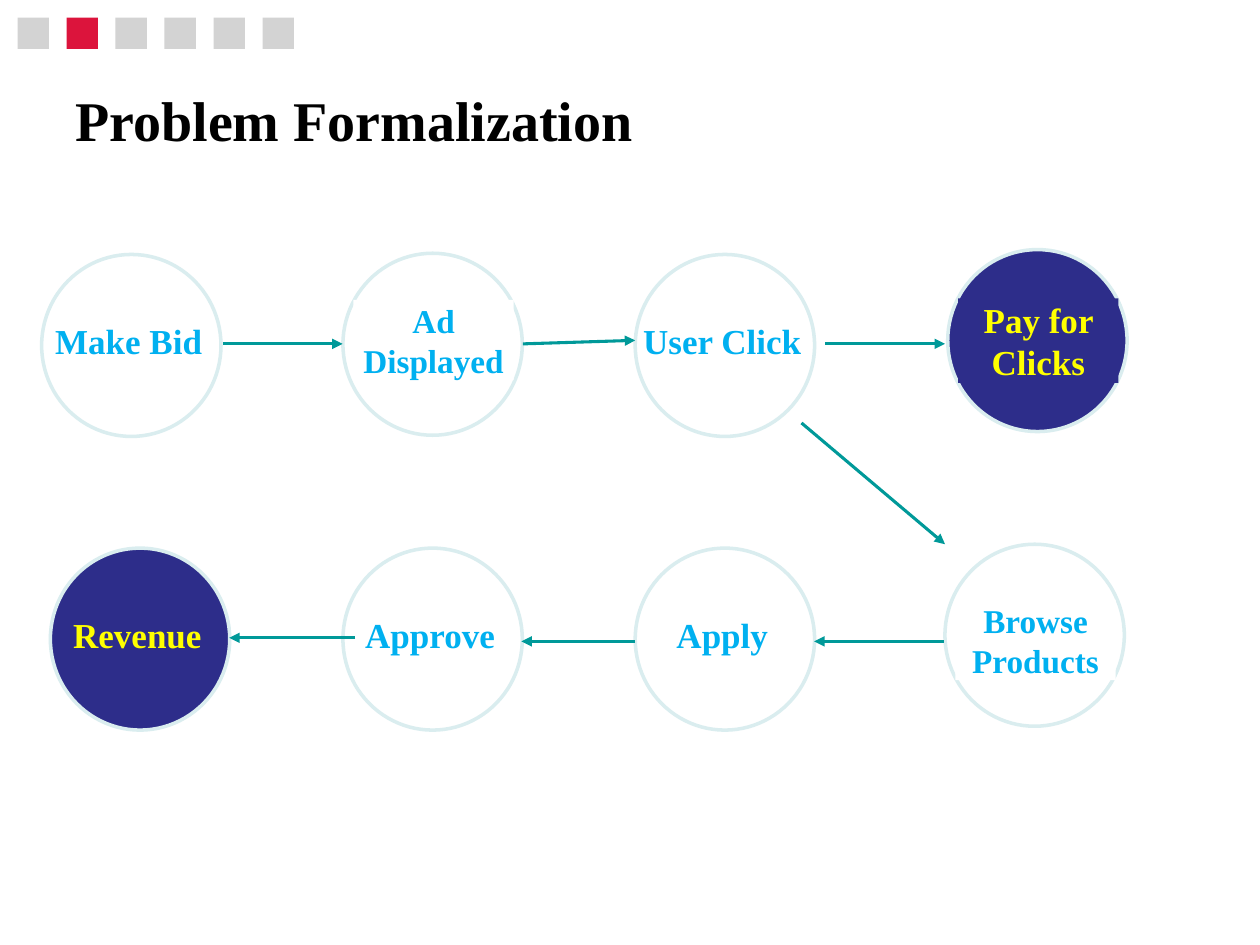
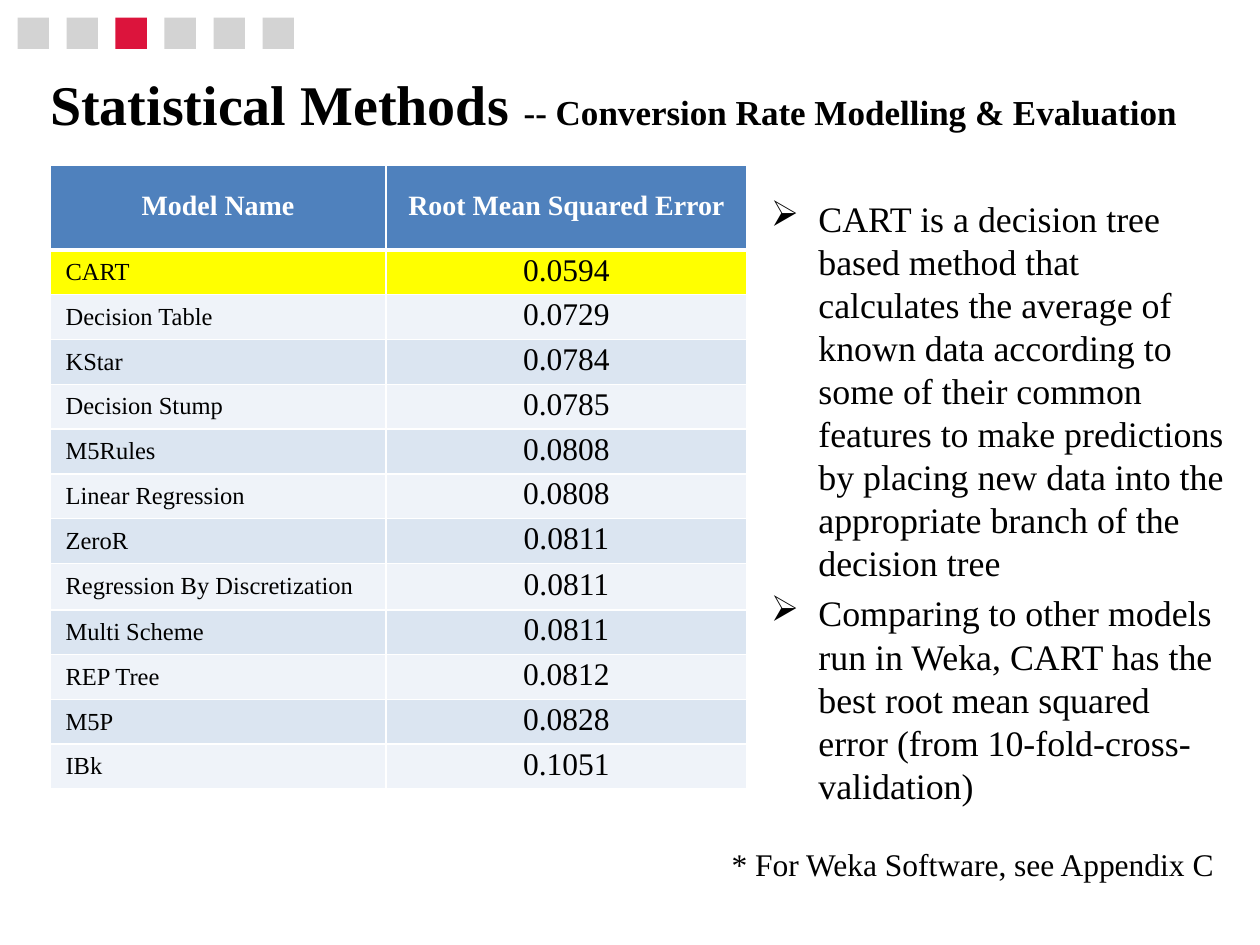
import pptx
import pptx.util
import pptx.dml.color
import pptx.enum.shapes
import pptx.enum.text
import pptx.oxml.ns
from lxml import etree

Pt = pptx.util.Pt
SHAPES = pptx.enum.shapes.MSO_SHAPE
ALIGN = pptx.enum.text.PP_ALIGN
ANCHOR = pptx.enum.text.MSO_ANCHOR

FONT = "Times New Roman"
BLACK, WHITE, YELLOW = "000000", "FFFFFF", "FFFF00"
STEP, CURRENT_STEP = "D3D3D3", "DC143C"
RING, SKY, NAVY, TEAL = "DAEDEF", "00B0F0", "2D2D8A", "009999"
HEADER, BAND_DARK, BAND_LIGHT = "4F81BD", "DBE5F1", "EFF3F9"
TITLE_SIZE = 32
CIRCLE_WIDTH, CIRCLE_HEIGHT = 102.5, 104

# label, circle left, circle top, label offset, label height, text size, highlighted
STAGES = [
    ("Make Bid", 23.8, 145.4, 36.7, 24.5, 20, False),
    ("Ad Displayed", 196, 144.7, 26.6, 46, 19, False),
    ("User Click", 363, 145.4, 36.7, 24.5, 20, False),
    ("Pay for Clicks", 541.6, 142.6, 28, 48.2, 20, True),
    ("Browse Products", 540, 311, 31.7, 46, 19, False),
    ("Apply", 363, 313.2, 37.4, 24.5, 20, False),
    ("Approve", 196, 313.2, 37.4, 24.5, 20, False),
    ("Revenue", 28.8, 313.2, 37.4, 24.5, 20, True),
]
FLOWS = [
    (127.4, 196.5, 195.8, 196.5),
    (298.8, 196.5, 363, 194.5),
    (471.6, 196.5, 540, 196.5),
    (458, 241.7, 540, 311),
    (539.2, 366.5, 465.2, 366.5),
    (363, 366.5, 298, 366.5),
    (203, 364.5, 131, 364.5),
]
MODEL_ERRORS = [
    ("CART", "0.0594"),
    ("Decision Table", "0.0729"),
    ("KStar", "0.0784"),
    ("Decision Stump", "0.0785"),
    ("M5Rules", "0.0808"),
    ("Linear Regression", "0.0808"),
    ("ZeroR", "0.0811"),
    ("Regression By Discretization", "0.0811"),
    ("Multi Scheme", "0.0811"),
    ("REP Tree", "0.0812"),
    ("M5P", "0.0828"),
    ("IBk", "0.1051"),
]
FINDINGS = [
    "CART is a decision tree based method that calculates the average of known data "
    "according to some of their common features to make predictions by placing new "
    "data into the appropriate branch of the decision tree",
    "Comparing to other models run in Weka, CART has the best root mean squared error "
    "(from 10-fold-cross-validation)",
]


def rgb(color):
    return pptx.dml.color.RGBColor.from_string(color)


def add_xml(parent, tag, **attributes):
    return etree.SubElement(parent, pptx.oxml.ns.qn(tag), **attributes)


def add_run(paragraph, text, size, color=BLACK, bold=False):
    run = paragraph.add_run()
    run.text = text
    run.font.name = FONT
    run.font.size = Pt(size)
    run.font.bold = bold
    run.font.color.rgb = rgb(color)


def add_filled(shapes, preset, left, top, width, height, fill, outline=None):
    shape = shapes.add_shape(preset, Pt(left), Pt(top), Pt(width), Pt(height))
    shape.shadow.inherit = False
    shape.fill.solid()
    shape.fill.fore_color.rgb = rgb(fill)
    if outline:
        shape.line.color.rgb = rgb(outline)
        shape.line.width = Pt(2)
    else:
        shape.line.fill.background()
    return shape


def add_text_frame(slide, left, top, width, height, wrap=True):
    box = slide.shapes.add_textbox(Pt(left), Pt(top), Pt(width), Pt(height))
    box.text_frame.word_wrap = wrap
    return box.text_frame


def add_progress(slide, current):
    """Draw the six step squares, with the current one in red."""
    for step in range(6):
        add_filled(slide.shapes, SHAPES.RECTANGLE, 10 + 28 * step, 10, 18, 18,
                   CURRENT_STEP if step == current else STEP)


def add_title(slide, left, top, width, height, line_spacing, runs):
    frame = add_text_frame(slide, left, top, width, height)
    frame.vertical_anchor = ANCHOR.MIDDLE
    title = frame.paragraphs[0]
    title.line_spacing = line_spacing
    for text, size in runs:
        add_run(title, text, size, bold=True)


def add_stage(slide, label, left, top, label_offset, label_height, size, highlighted):
    """Draw one circle of the flow, with its label plate grouped on top."""
    fill, ink = (NAVY, YELLOW) if highlighted else (WHITE, SKY)
    stage = slide.shapes.add_group_shape().shapes
    add_filled(stage, SHAPES.OVAL, left, top, CIRCLE_WIDTH, CIRCLE_HEIGHT, fill, RING)
    inset = 4 if label_height < 30 else 6
    plate = add_filled(stage, SHAPES.RECTANGLE, left + inset, top + label_offset,
                       91.5, label_height, fill)
    frame = plate.text_frame
    frame.word_wrap = True
    frame.margin_left = frame.margin_right = frame.margin_top = frame.margin_bottom = 0
    frame.vertical_anchor = ANCHOR.MIDDLE
    frame.paragraphs[0].alignment = ALIGN.CENTER
    add_run(frame.paragraphs[0], label, size, ink, bold=True)


def add_arrow(slide, *ends):
    arrow = slide.shapes.add_connector(pptx.enum.shapes.MSO_CONNECTOR.STRAIGHT,
                                       *(Pt(end) for end in ends))
    arrow.line.color.rgb = rgb(TEAL)
    arrow.line.width = Pt(1.75)
    add_xml(arrow.line._get_or_add_ln(), "a:tailEnd", type="triangle")
    add_xml(arrow._element.spPr, "a:effectLst")


def set_borders(cell, top=1, bottom=1):
    properties = cell._tc.get_or_add_tcPr()
    widths = {"a:lnL": 1, "a:lnR": 1, "a:lnT": top, "a:lnB": bottom}
    for position, (side, width) in enumerate(widths.items()):
        border = etree.Element(pptx.oxml.ns.qn(side), w=str(Pt(width)))
        add_xml(add_xml(border, "a:solidFill"), "a:srgbClr", val=WHITE)
        properties.insert(position, border)


def fill_cell(cell, text, size, fill, color=BLACK, bold=False, centred=True):
    cell.fill.solid()
    cell.fill.fore_color.rgb = rgb(fill)
    cell.vertical_anchor = ANCHOR.MIDDLE
    margins = (0.7, 0.7, 0.7) if centred else (9, 2.9, 5)
    cell.margin_left, cell.margin_top, cell.margin_right = map(Pt, margins)
    cell.margin_bottom = Pt(2.9)
    paragraph = cell.text_frame.paragraphs[0]
    paragraph.alignment = ALIGN.CENTER if centred else ALIGN.LEFT
    add_run(paragraph, text, size, color, bold)


def add_error_table(slide, left, top):
    widths = (192.2, 206)
    heights = [48.2] + [26.5 if len(model) > 20 else 25.6 for model, _ in MODEL_ERRORS]
    table = slide.shapes.add_table(len(heights), len(widths), Pt(left), Pt(top),
                                   Pt(sum(widths)), Pt(sum(heights))).table
    for column, width in zip(table.columns, widths):
        column.width = Pt(width)
    for row, height in zip(table.rows, heights):
        row.height = Pt(height)

    for column, heading in enumerate(("Model Name", "Root Mean Squared Error")):
        cell = table.cell(0, column)
        fill_cell(cell, heading, 16, HEADER, WHITE, bold=True)
        set_borders(cell, bottom=3)
    for row, (model, error) in enumerate(MODEL_ERRORS, start=1):
        best = row == 1
        fill = YELLOW if best else (BAND_DARK if row % 2 else BAND_LIGHT)
        fill_cell(table.cell(row, 0), model, 14, fill, centred=False)
        fill_cell(table.cell(row, 1), error, 18, fill)
        for column in range(2):
            set_borders(table.cell(row, column), top=3 if best else 1)


def add_findings(slide, left, top, width, height):
    frame = add_text_frame(slide, left, top, width, height)
    for number, finding in enumerate(FINDINGS):
        paragraph = frame.add_paragraph() if number else frame.paragraphs[0]
        paragraph.space_before = Pt(4.1)
        paragraph.line_spacing = Pt(24.6)
        properties = paragraph._p.get_or_add_pPr()
        properties.set("marL", str(Pt(27.2)))
        properties.set("indent", str(-Pt(27.2)))
        add_xml(properties, "a:buChar", char="➢")
        add_run(paragraph, finding, 20.5)


def build_formalization(slide):
    add_title(slide, 36, 40.3, 648, 52, 1.1, [("Problem Formalization", TITLE_SIZE)])
    add_progress(slide, 1)
    for stage in STAGES:
        add_stage(slide, *stage)
    for flow in FLOWS:
        add_arrow(slide, *flow)


def build_methods(slide):
    add_findings(slide, 433.4, 108.7, 274, 428)
    add_progress(slide, 2)
    add_title(slide, 21.6, 43.2, 695.5, 38.2, 0.8,
              [("Statistical Methods ", TITLE_SIZE),
               ("-- Conversion Rate Modelling & Evaluation", 20)])
    add_error_table(slide, 28.5, 94.6)
    footnote = add_text_frame(slide, 411, 479.5, 293, 29, wrap=False)
    add_run(footnote.paragraphs[0], "* For Weka Software, see Appendix C", 18)


def main():
    deck = pptx.Presentation()
    deck.slide_width, deck.slide_height = Pt(720), Pt(540)
    blank = deck.slide_layouts[6]
    for build in (build_formalization, build_methods):
        build(deck.slides.add_slide(blank))
    deck.save("out.pptx")


if __name__ == "__main__":
    main()
